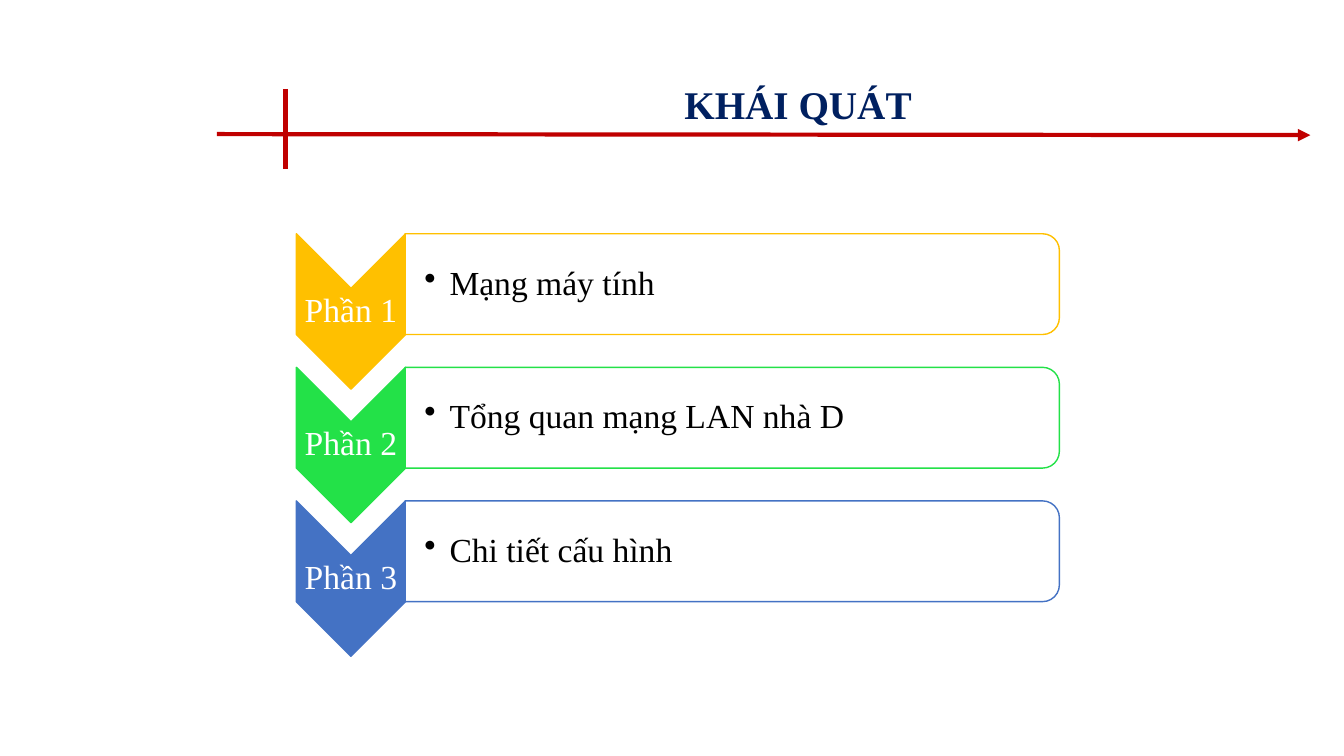
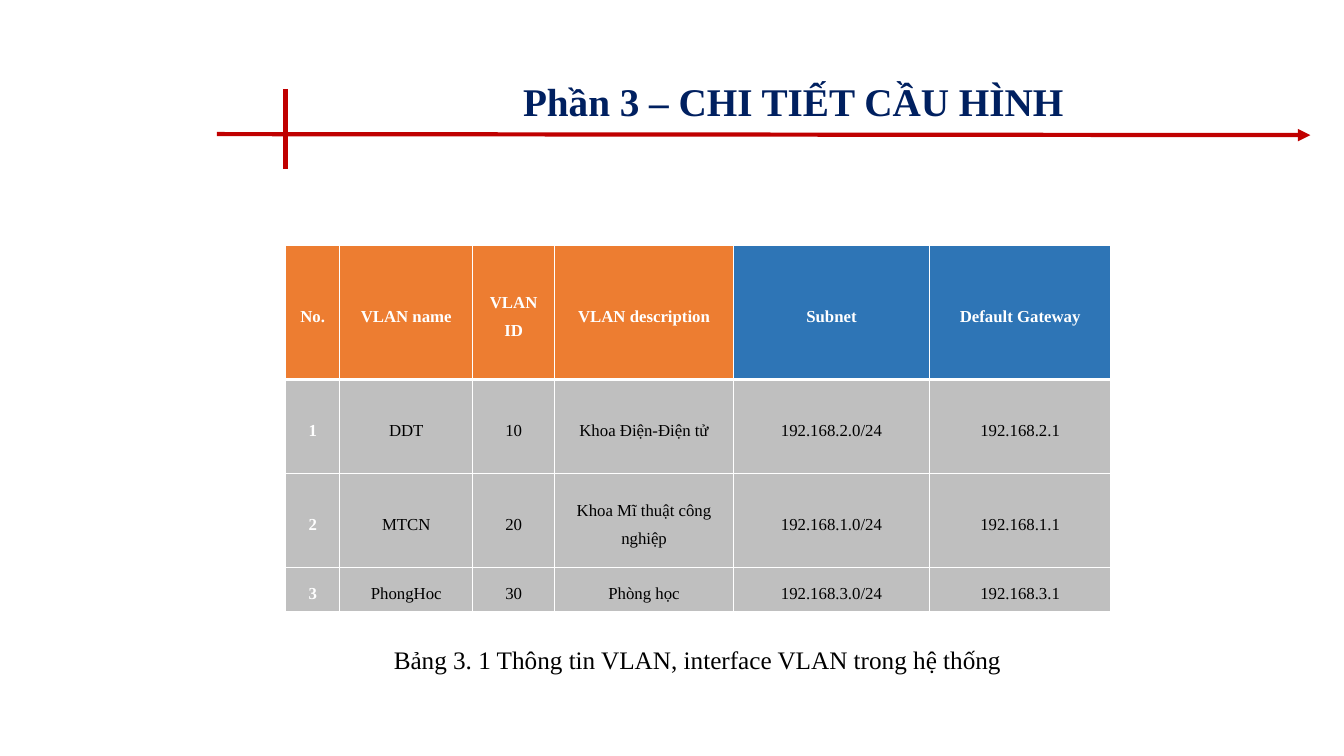
from dataclasses import dataclass

from lxml.etree import SubElement
from pptx import Presentation
from pptx.dml.color import RGBColor
from pptx.enum.shapes import MSO_CONNECTOR, MSO_SHAPE
from pptx.enum.text import MSO_ANCHOR, MSO_AUTO_SIZE, PP_ALIGN
from pptx.oxml.ns import qn
from pptx.slide import Slide
from pptx.text.text import TextFrame, _Paragraph
from pptx.util import Pt


@dataclass(frozen=True)
class Theme:
    font: str = "Times New Roman"
    title_size: float = 28
    part_size: float = 24
    caption_size: float = 18
    table_size: float = 12
    title: str = "002060"
    rule: str = "C00000"
    text: str = "000000"
    white: str = "FFFFFF"
    vlan_header: str = "ED7D31"
    address_header: str = "2E75B6"
    table_body: str = "BFBFBF"


THEME = Theme()


@dataclass(frozen=True)
class Box:
    left: float
    top: float
    width: float
    height: float

    def lengths(self) -> tuple[Pt, Pt, Pt, Pt]:
        return Pt(self.left), Pt(self.top), Pt(self.width), Pt(self.height)

    def before_quarter_turn(self) -> "Box":
        """Box that covers this one once it is turned by 90 degrees."""
        return Box(self.left + (self.width - self.height) / 2,
                   self.top + (self.height - self.width) / 2,
                   self.height, self.width)


@dataclass(frozen=True)
class Part:
    label: str
    topic: str
    color: str


@dataclass(frozen=True)
class Column:
    heading: str
    width: float
    header_fill: str


PARTS = (
    Part("Phần 1", "Mạng máy tính", "FFC000"),
    Part("Phần 2", "Tổng quan mạng LAN nhà D", "23E148"),
    Part("Phần 3", "Chi tiết cấu hình", "4472C4"),
)
PARTS_TOP, PART_STEP = 167, 95.4

COLUMNS = (
    Column("No.", 38.7, THEME.vlan_header),
    Column("VLAN name", 95, THEME.vlan_header),
    Column("VLAN ID", 58.4, THEME.vlan_header),
    Column("VLAN description", 128, THEME.vlan_header),
    Column("Subnet", 139.8, THEME.address_header),
    Column("Default Gateway", 129.8, THEME.address_header),
)
VLANS = (
    ("1", "DDT", "10", "Khoa Điện-Điện tử", "192.168.2.0/24", "192.168.2.1"),
    ("2", "MTCN", "20", "Khoa Mĩ thuật công nghiệp", "192.168.1.0/24", "192.168.1.1"),
    ("3", "PhongHoc", "30", "Phòng học", "192.168.3.0/24", "192.168.3.1"),
)
ROW_HEIGHTS = (95.5, 67.2, 67.2, 31.6)


def rgb(color: str) -> RGBColor:
    return RGBColor.from_string(color)


# Text
def add_run(paragraph: _Paragraph, text: str, size: float, color: str,
            bold: bool = False) -> None:
    run = paragraph.add_run()
    run.text = text
    run.font.name = THEME.font
    run.font.size = Pt(size)
    run.font.bold = bold
    run.font.color.rgb = rgb(color)


def add_text_frame(slide: Slide, box: Box) -> TextFrame:
    frame = slide.shapes.add_textbox(*box.lengths()).text_frame
    frame.word_wrap = True
    return frame


def add_centred_line(slide: Slide, box: Box, text: str, size: float,
                     color: str, bold: bool = False) -> None:
    frame = add_text_frame(slide, box)
    frame.auto_size = MSO_AUTO_SIZE.SHAPE_TO_FIT_TEXT
    paragraph = frame.paragraphs[0]
    paragraph.alignment = PP_ALIGN.CENTER
    add_run(paragraph, text, size, color, bold)


def add_part_text(slide: Slide, box: Box, text: str, color: str,
                  left_inset: float) -> _Paragraph:
    frame = add_text_frame(slide, box)
    frame.vertical_anchor = MSO_ANCHOR.MIDDLE
    frame.margin_left = Pt(left_inset)
    frame.margin_top = frame.margin_right = frame.margin_bottom = Pt(1.2)
    paragraph = frame.paragraphs[0]
    paragraph.line_spacing = 0.9
    add_run(paragraph, text, THEME.part_size, color)
    return paragraph


def set_bullet(paragraph: _Paragraph, indent: float) -> None:
    properties = paragraph._p.get_or_add_pPr()
    properties.set("marL", str(Pt(indent)))
    properties.set("indent", str(-Pt(indent)))
    SubElement(properties, qn("a:buChar")).set("char", "•")


# Title with its crossed rules, the same on every slide
def add_rule(slide: Slide, start: tuple[float, float],
             end: tuple[float, float], arrow: bool = False) -> None:
    rule = slide.shapes.add_connector(
        MSO_CONNECTOR.STRAIGHT, *(Pt(value) for value in start + end))
    rule.line.color.rgb = rgb(THEME.rule)
    rule.line.width = Pt(3)
    if arrow:
        SubElement(rule.line._get_or_add_ln(), qn("a:tailEnd")).set("type", "triangle")
    SubElement(rule._element.spPr, qn("a:effectLst"))


def add_titled_slide(deck: Presentation, title: str, title_top: float) -> Slide:
    slide = deck.slides.add_slide(deck.slide_layouts[6])
    add_rule(slide, (204, 63.5), (204, 120.5))
    add_rule(slide, (155, 95.8), (936, 96.5), arrow=True)
    add_centred_line(slide, Box(204, title_top, 732, 41), title,
                     THEME.title_size, THEME.title, bold=True)
    return slide


# Overview list: a downward chevron and a panel for each part
def add_turned_shape(slide: Slide, preset: MSO_SHAPE, box: Box, fill: str,
                     line: str) -> None:
    shape = slide.shapes.add_shape(preset, *box.before_quarter_turn().lengths())
    shape.rotation = 90
    shape.shadow.inherit = False
    shape.fill.solid()
    shape.fill.fore_color.rgb = rgb(fill)
    shape.line.color.rgb = rgb(line)
    shape.line.width = Pt(1)


def add_part(slide: Slide, part: Part, top: float) -> None:
    add_turned_shape(slide, MSO_SHAPE.CHEVRON, Box(211.7, top, 78, 111),
                     part.color, part.color)
    label = add_part_text(slide, Box(211.7, top + 39, 78, 33), part.label,
                          THEME.white, 1.2)
    label.alignment = PP_ALIGN.CENTER
    add_turned_shape(slide, MSO_SHAPE.ROUND_2_SAME_RECTANGLE,
                     Box(289.4, top, 467.3, 72), THEME.white, part.color)
    topic = add_part_text(slide, Box(289.4, top + 3.6, 464, 65), part.topic,
                          THEME.text, 13.7)
    set_bullet(topic, 18)


# VLAN table
def set_cell_borders(cell, widths: dict[str, float]) -> None:
    properties = cell._tc.get_or_add_tcPr()
    for side, width in widths.items():
        line = SubElement(properties, qn(f"a:ln{side}"))
        line.set("w", str(Pt(width)))
        fill = SubElement(line, qn("a:solidFill"))
        SubElement(fill, qn("a:srgbClr")).set("val", THEME.white)


def fill_cell(cell, text: str, row: int, column: int) -> None:
    is_header = row == 0
    is_strong = is_header or column == 0
    set_cell_borders(cell, {"L": 1, "R": 1, "T": 3 if row == 1 else 1,
                            "B": 3 if is_header else 1})
    cell.fill.solid()
    cell.fill.fore_color.rgb = rgb(
        COLUMNS[column].header_fill if is_header else THEME.table_body)
    cell.vertical_anchor = MSO_ANCHOR.MIDDLE
    cell.margin_left = cell.margin_right = Pt(5.4)
    cell.margin_top = cell.margin_bottom = Pt(0)
    paragraph = cell.text_frame.paragraphs[0]
    paragraph.alignment = PP_ALIGN.CENTER
    paragraph.line_spacing = 1.5
    add_run(paragraph, text, THEME.table_size,
            THEME.white if is_strong else THEME.text, is_strong)


def add_vlan_table(slide: Slide, left: float, top: float) -> None:
    rows = (tuple(column.heading for column in COLUMNS), *VLANS)
    box = Box(left, top, sum(column.width for column in COLUMNS), sum(ROW_HEIGHTS))
    table = slide.shapes.add_table(len(rows), len(COLUMNS), *box.lengths()).table
    table.horz_banding = False
    for index, column in enumerate(COLUMNS):
        table.columns[index].width = Pt(column.width)
    for row, (height, texts) in enumerate(zip(ROW_HEIGHTS, rows)):
        table.rows[row].height = Pt(height)
        for column, text in enumerate(texts):
            fill_cell(table.cell(row, column), text, row, column)


def main() -> None:
    deck = Presentation()
    deck.slide_width, deck.slide_height = Pt(960), Pt(540)

    # Overview
    overview = add_titled_slide(deck, "KHÁI QUÁT", 54)
    for index, part in enumerate(PARTS):
        add_part(overview, part, PARTS_TOP + index * PART_STEP)

    # Configuration details
    details = add_titled_slide(deck, "Phần 3 – CHI TIẾT CẦU HÌNH ", 52)
    add_vlan_table(details, 204, 175.5)
    add_centred_line(details, Box(271.5, 457, 453.5, 29),
                     "Bảng 3. 1 Thông tin VLAN, interface VLAN trong hệ thống",
                     THEME.caption_size, THEME.text)

    deck.save("out.pptx")


if __name__ == "__main__":
    main()
